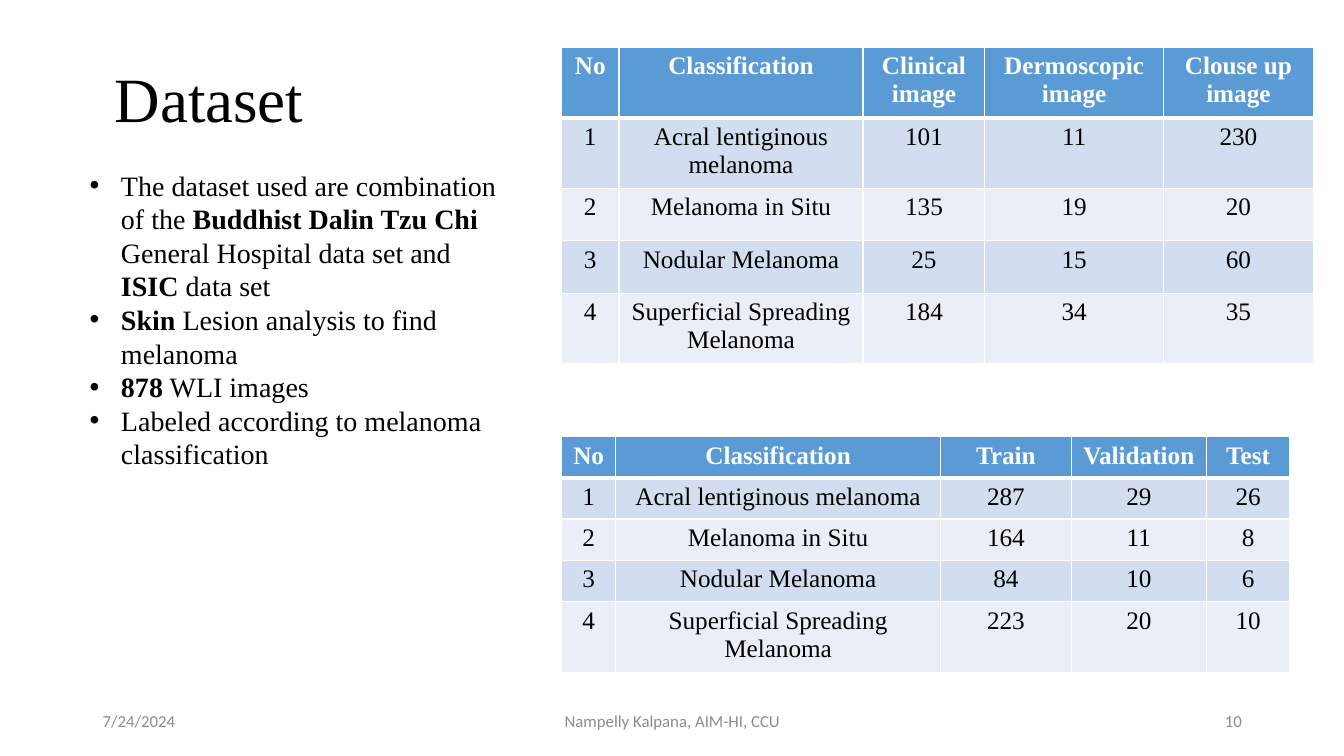
from lxml import etree
from pptx import Presentation
from pptx.dml.color import RGBColor
from pptx.enum.text import MSO_ANCHOR, PP_ALIGN
from pptx.oxml.ns import qn
from pptx.util import Cm, Pt

LEFT, CENTER, RIGHT = PP_ALIGN.LEFT, PP_ALIGN.CENTER, PP_ALIGN.RIGHT
TOP, MIDDLE = MSO_ANCHOR.TOP, MSO_ANCHOR.MIDDLE
SERIF, SANS = "Times New Roman", "Calibri"
BLACK, WHITE, GREY = "000000", "FFFFFF", "8C8C8C"
HEADER, BANDS = "5B9BD5", ("D2DEEF", "EAEFF7")

BULLETS = [
    "The dataset used are combination of the **Buddhist Dalin Tzu Chi **"
    "General Hospital data set and **ISIC** data set",
    "**Skin** Lesion analysis to find melanoma",
    "**878** WLI images",
    "Labeled according to melanoma classification",
]
CLASSES = ["Acral lentiginous melanoma", "Melanoma in Situ",
           "Nodular Melanoma", "Superficial Spreading Melanoma"]
IMAGE_HEADS = ["Clinical image", "Dermoscopic image", "Clouse up image"]
IMAGE_COUNTS = [(101, 11, 230), (135, 19, 20), (25, 15, 60), (184, 34, 35)]
SPLIT_HEADS = ["Train", "Validation", "Test"]
SPLIT_COUNTS = [(287, 29, 26), (164, 11, 8), (84, 10, 6), (223, 20, 10)]


def rgb(hex_color):
    return RGBColor.from_string(hex_color)


def write(p, text, size=18, font=SERIF, color=BLACK, bold=False, align=LEFT):
    """Fill a paragraph; parts between ** marks switch the weight."""
    p.alignment = align
    for i, part in enumerate(text.split("**")):
        if part:
            r = p.add_run()
            r.text = part
            r.font.size = Pt(size)
            r.font.name = font
            r.font.color.rgb = rgb(color)
            r.font.bold = bold != (i % 2 == 1)


def text_frame(s, x, y, w, h, anchor=TOP):
    tf = s.shapes.add_textbox(Cm(x), Cm(y), Cm(w), Cm(h)).text_frame
    tf.word_wrap = True
    tf.vertical_anchor = anchor
    return tf


def add_title(s, x, y, w, h):
    p = text_frame(s, x, y, w, h, MIDDLE).paragraphs[0]
    p.line_spacing = 0.9
    write(p, "Dataset", size=45)


def add_bullets(s, x, y, w, h):
    tf = text_frame(s, x, y, w, h)
    indent = Cm(0.79)
    for i, item in enumerate(BULLETS):
        p = tf.add_paragraph() if i else tf.paragraphs[0]
        pPr = p._p.get_or_add_pPr()
        pPr.set("marL", str(indent))
        pPr.set("indent", str(-indent))
        etree.SubElement(pPr, qn("a:buFont"), typeface="Arial")
        etree.SubElement(pPr, qn("a:buChar"), char="•")
        write(p, item, size=20)


def set_borders(cell, **widths):
    tcPr = cell._tc.get_or_add_tcPr()
    for side in "LRTB":
        ln = etree.SubElement(tcPr, qn("a:ln" + side),
                              w=str(Pt(widths.get(side, 1))))
        fill = etree.SubElement(ln, qn("a:solidFill"))
        etree.SubElement(fill, qn("a:srgbClr"), val=WHITE)


def add_class_table(s, x, y, col_widths, row_height, heads, counts):
    """Table of the melanoma classes with one column per head."""
    rows = [["No", "Classification", *heads]]
    rows += [[i, name, *values]
             for i, (name, values) in enumerate(zip(CLASSES, counts), 1)]
    table = s.shapes.add_table(
        len(rows), len(col_widths), Cm(x), Cm(y),
        Cm(sum(col_widths)), Cm(row_height * len(rows))).table
    for col, width in zip(table.columns, col_widths):
        col.width = Cm(width)
    for i, values in enumerate(rows):
        table.rows[i].height = Cm(row_height)
        is_head = i == 0
        for j, value in enumerate(values):
            cell = table.cell(i, j)
            set_borders(cell, T=3 if i == 1 else 1, B=3 if is_head else 1)
            cell.fill.solid()
            cell.fill.fore_color.rgb = rgb(
                HEADER if is_head else BANDS[(i - 1) % 2])
            write(cell.text_frame.paragraphs[0], str(value), bold=is_head,
                  color=WHITE if is_head else BLACK, align=CENTER)


def add_footer(s, x, y, w, h):
    """Date, author and page number at the left, centre and right."""
    side, middle = 7.62, 11.43
    for text, left, width, align in [
            ("Nampelly Kalpana, AIM-HI, CCU", x + (w - middle) / 2, middle, CENTER),
            ("10", x + w - side, side, RIGHT),
            ("7/24/2024", x, side, LEFT)]:
        p = text_frame(s, left, y, width, h, MIDDLE).paragraphs[0]
        write(p, text, size=12, font=SANS, color=GREY, align=align)


def main():
    prs = Presentation()
    prs.slide_width, prs.slide_height = Cm(33.87), Cm(19.05)
    s = prs.slides.add_slide(prs.slide_layouts[6])
    add_title(s, 2.64, 1.02, 14.6, 3.1)
    add_class_table(s, 14.15, 1.19, [1.45, 6.15, 3.07, 4.5, 3.78], 1.32,
                    IMAGE_HEADS, IMAGE_COUNTS)
    add_class_table(s, 14.15, 11, [1.37, 8.18, 3.3, 3.4, 2.11], 1.04,
                    SPLIT_HEADS, SPLIT_COUNTS)
    add_bullets(s, 2.01, 4.11, 10.87, 9.02)
    add_footer(s, 2.34, 17.65, 29.21, 1.02)
    prs.save("out.pptx")


if __name__ == "__main__":
    main()
